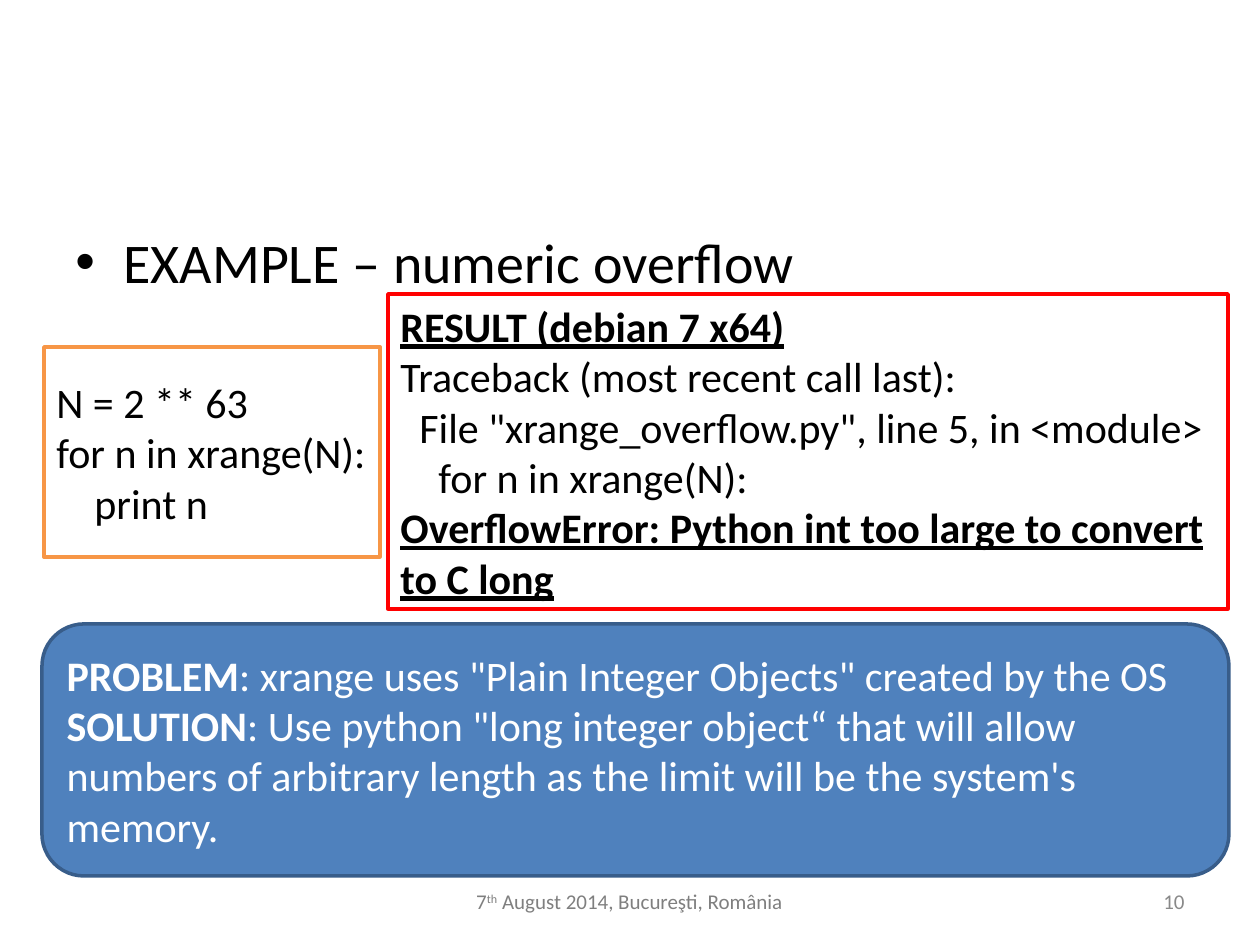
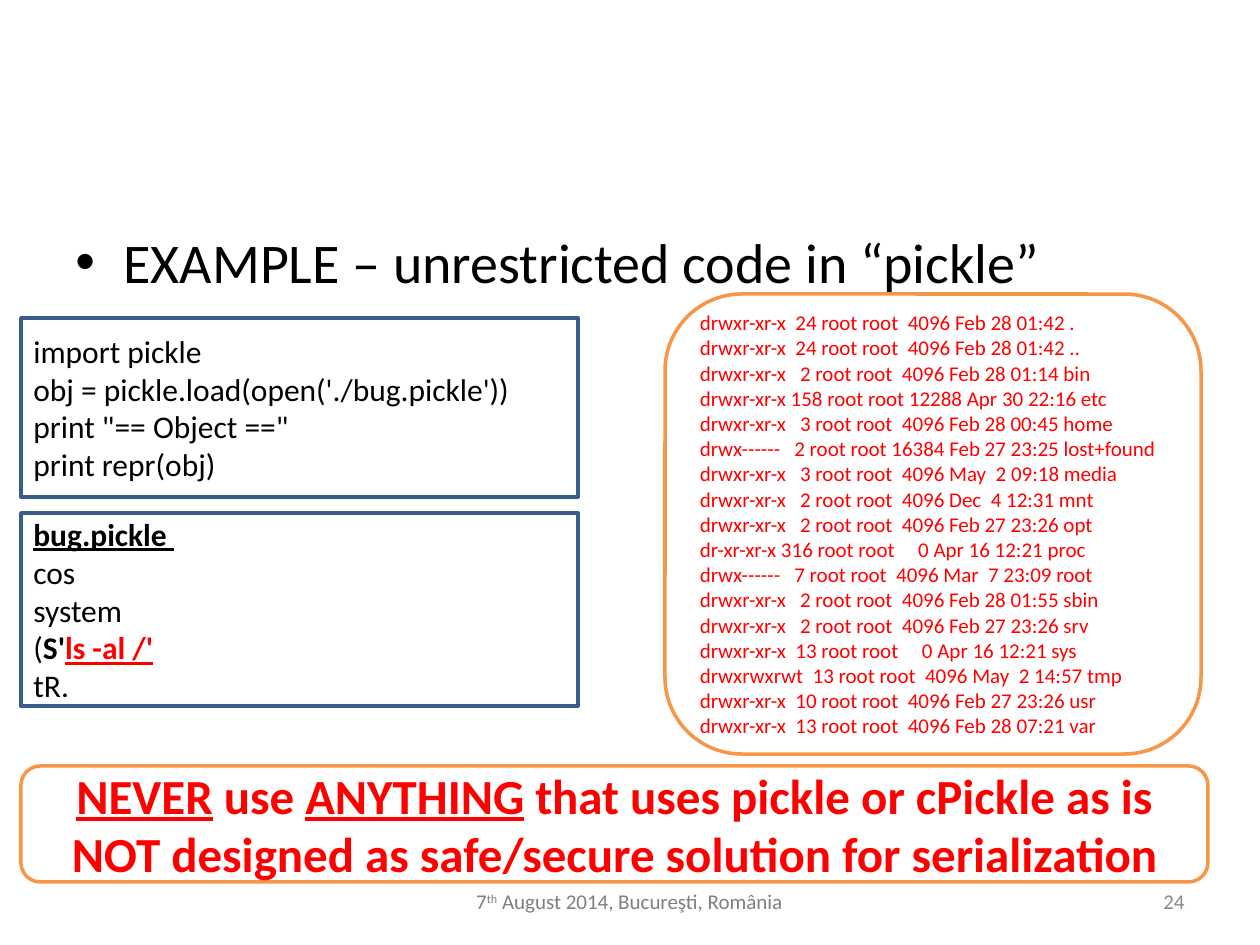
import pptx
import pptx.dml.color
import pptx.enum.shapes
import pptx.enum.text
import pptx.oxml
import pptx.oxml.ns
import pptx.util

PX = 914400 / 126
FONT = "Calibri"
COLORS = {
    "text": "000000",
    "light": "FFFFFF",
    "date": "7F7F7F",
    "number": "898989",
    "blue": "4F81BD",
    "navy": "385D8A",
    "orange": "F79646",
    "red": "FF0000",
}
ALIGN = pptx.enum.text.PP_ALIGN
ANCHOR = pptx.enum.text.MSO_ANCHOR
SHAPE = pptx.enum.shapes.MSO_SHAPE

HEADING_BOX = (63, 221, 1134, 84)
DATE_BOX = (404, 876, 451, 50)
NUMBER_BOX = (903, 876, 294, 50)

OVERFLOW_CODE = ["N = 2 ** 63", "for n in xrange(N):", "    print n"]
OVERFLOW_RESULT = [
    [("RESULT (debian 7 x64)", "bold underline")],
    "Traceback (most recent call last):",
    '  File "xrange_overflow.py", line 5, in <module>',
    "    for n in xrange(N):",
    [("OverflowError: Python int too large to convert to C long", "bold underline")],
]
OVERFLOW_ADVICE = [
    [("PROBLEM", "bold"), (': xrange uses "Plain Integer Objects" created by the OS', "")],
    [("SOLUTION", "bold"),
     (': Use python "long integer object“ that will allow numbers of arbitrary length '
      "as the limit will be the system's memory.", "")],
]
PICKLE_CODE = [
    "import pickle",
    "obj = pickle.load(open('./bug.pickle'))",
    'print "== Object =="',
    "print repr(obj)",
]
PICKLE_FILE = [
    [("bug.pickle ", "bold underline")],
    "cos",
    "system",
    [("(", ""), ("S'", "bold"), ("ls -al /'", "bold underline red")],
    "tR.",
]
DIRECTORY_LISTING = [
    "drwxr-xr-x  24 root root  4096 Feb 28 01:42 .",
    "drwxr-xr-x  24 root root  4096 Feb 28 01:42 ..",
    "drwxr-xr-x   2 root root  4096 Feb 28 01:14 bin",
    "drwxr-xr-x 158 root root 12288 Apr 30 22:16 etc",
    "drwxr-xr-x   3 root root  4096 Feb 28 00:45 home",
    "drwx------   2 root root 16384 Feb 27 23:25 lost+found",
    "drwxr-xr-x   3 root root  4096 May  2 09:18 media",
    "drwxr-xr-x   2 root root  4096 Dec  4 12:31 mnt",
    "drwxr-xr-x   2 root root  4096 Feb 27 23:26 opt",
    "dr-xr-xr-x 316 root root     0 Apr 16 12:21 proc",
    "drwx------   7 root root  4096 Mar  7 23:09 root",
    "drwxr-xr-x   2 root root  4096 Feb 28 01:55 sbin",
    "drwxr-xr-x   2 root root  4096 Feb 27 23:26 srv",
    "drwxr-xr-x  13 root root     0 Apr 16 12:21 sys",
    "drwxrwxrwt  13 root root  4096 May  2 14:57 tmp",
    "drwxr-xr-x  10 root root  4096 Feb 27 23:26 usr",
    "drwxr-xr-x  13 root root  4096 Feb 28 07:21 var",
]
PICKLE_WARNING = [[
    ("NEVER", "bold underline"),
    (" use ", "bold"),
    ("ANYTHING", "bold underline"),
    (" that uses pickle or cPickle as is NOT designed as safe/secure solution "
     "for serialization", "bold"),
]]


def rgb(name):
    return pptx.dml.color.RGBColor.from_string(COLORS[name])


def to_emu(box):
    return [round(length * PX) for length in box]


def write(frame, lines, size, color="text", align=ALIGN.LEFT, anchor=ANCHOR.MIDDLE):
    frame.word_wrap = True
    frame.vertical_anchor = anchor
    for index, line in enumerate(lines):
        para = frame.add_paragraph() if index else frame.paragraphs[0]
        para.alignment = align
        for text, marks in [(line, "")] if isinstance(line, str) else line:
            span = para.add_run()
            span.text = text
            span.font.name = FONT
            span.font.size = pptx.util.Pt(size)
            span.font.bold = "bold" in marks
            span.font.underline = "underline" in marks
            span.font.color.rgb = rgb("red" if "red" in marks else color)
            if "superscript" in marks:
                span.font._element.set("baseline", "30000")


def add_label(page, box, lines, size, **style):
    label = page.shapes.add_textbox(*to_emu(box))
    write(label.text_frame, lines, size, **style)
    return label


def add_panel(page, box, lines, size, line, fill=None, kind=SHAPE.RECTANGLE, **style):
    panel = page.shapes.add_shape(kind, *to_emu(box))
    panel.shadow.inherit = False
    if fill:
        panel.fill.solid()
        panel.fill.fore_color.rgb = rgb(fill)
    else:
        panel.fill.background()
    panel.line.color.rgb = rgb(line)
    panel.line.width = pptx.util.Pt(2)
    write(panel.text_frame, lines, size, **style)


def add_heading(page, box, text):
    heading = add_label(page, box, [text], 32, anchor=ANCHOR.TOP)
    props = heading.text_frame.paragraphs[0]._p.get_or_add_pPr()
    indent = round(48 * PX)
    props.set("marL", str(indent))
    props.set("indent", str(-indent))
    for tag, name, value in (("buFont", "typeface", "Arial"), ("buChar", "char", "•")):
        bullet = pptx.oxml.parse_xml(f'<a:{tag} {pptx.oxml.ns.nsdecls("a")}/>')
        bullet.set(name, value)
        props.append(bullet)


def add_example_page(deck, title, number):
    page = deck.slides.add_slide(deck.slide_layouts[6])
    add_heading(page, HEADING_BOX, title)
    date = [("7", ""), ("th", "superscript"), (" August 2014, Bucureşti, România", "")]
    add_label(page, DATE_BOX, [date], 12, color="date", align=ALIGN.CENTER)
    add_label(page, NUMBER_BOX, [str(number)], 12, color="number", align=ALIGN.RIGHT)
    return page


def build_overflow_page(deck):
    page = add_example_page(deck, "EXAMPLE – numeric overflow", 10)
    add_panel(page, (44, 347, 336, 210), OVERFLOW_CODE, 24, "orange")
    add_panel(page, (388, 294, 840, 315), OVERFLOW_RESULT, 24, "red")
    add_panel(page, (42, 624, 1187, 252), OVERFLOW_ADVICE, 24, "navy", fill="blue",
              kind=SHAPE.ROUNDED_RECTANGLE, color="light")


def build_pickle_page(deck):
    page = add_example_page(deck, "EXAMPLE – unrestricted code in “pickle”", 24)
    add_panel(page, (21, 318, 557, 179), PICKLE_CODE, 18, "navy")
    add_panel(page, (21, 513, 557, 193), PICKLE_FILE, 18, "navy")
    add_panel(page, (665, 294, 536, 460), DIRECTORY_LISTING, 12, "orange",
              kind=SHAPE.ROUNDED_RECTANGLE, color="red")
    add_panel(page, (21, 766, 1187, 116), PICKLE_WARNING, 28, "orange",
              kind=SHAPE.ROUNDED_RECTANGLE, color="red", align=ALIGN.CENTER)


def main():
    deck = pptx.Presentation()
    deck.slide_width, deck.slide_height = to_emu((1260, 945))
    build_overflow_page(deck)
    build_pickle_page(deck)
    deck.save("out.pptx")


if __name__ == "__main__":
    main()
